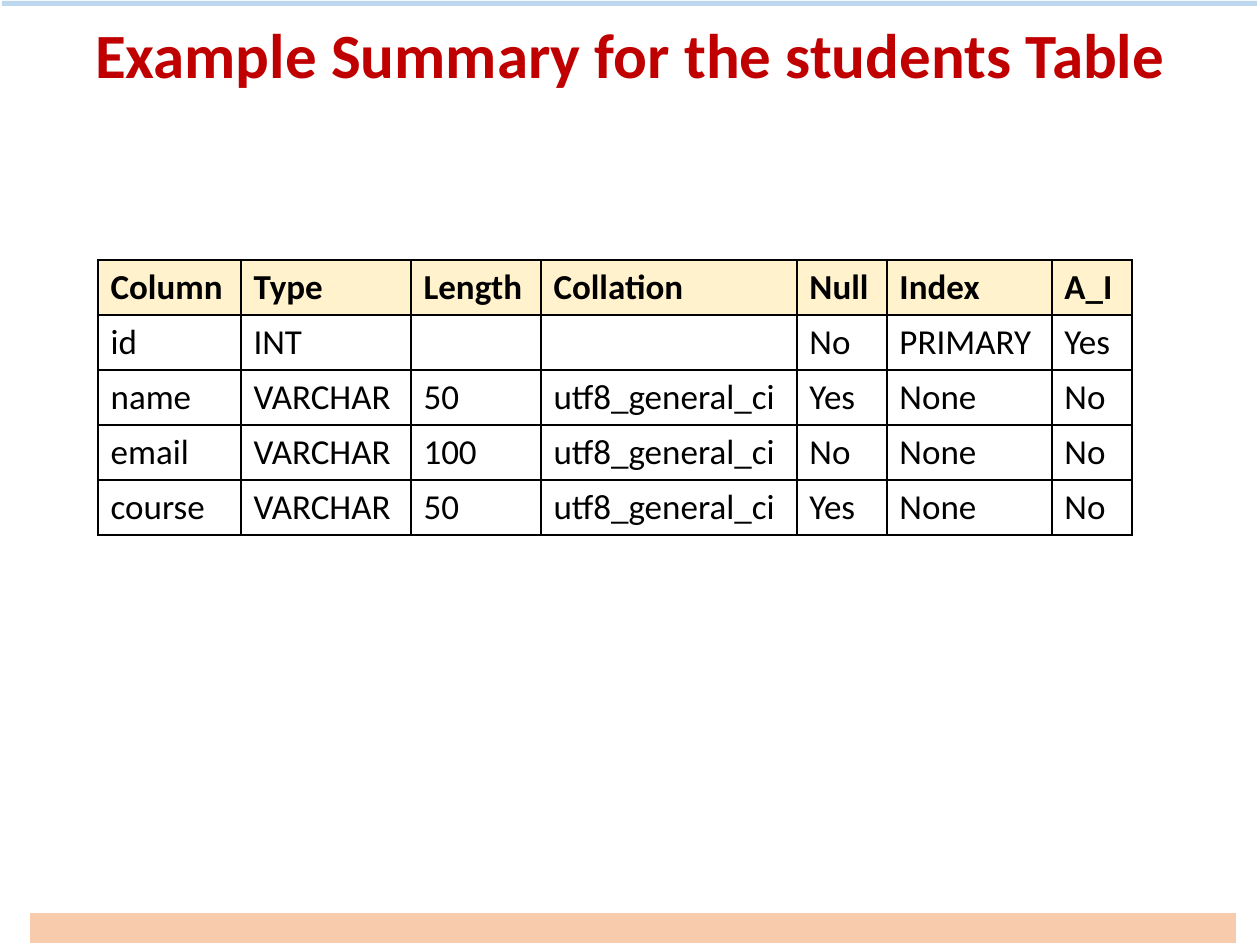
from lxml import etree
from pptx import Presentation
from pptx import util as u
from pptx.dml.color import RGBColor
from pptx.enum import shapes, text
from pptx.oxml.ns import qn

PX = 914400 // 126


def color(value):
    return RGBColor.from_string(value)


def add_borders(cell):
    properties = cell._tc.get_or_add_tcPr()
    for position, side in enumerate(("lnL", "lnR", "lnT", "lnB")):
        line = etree.Element(qn(f"a:{side}"), w=str(u.Pt(1)))
        fill = etree.SubElement(line, qn("a:solidFill"))
        etree.SubElement(fill, qn("a:srgbClr"), val="000000")
        properties.insert(position, line)


prs = Presentation()
prs.slide_width = u.Inches(10)
prs.slide_height = u.Inches(7.5)
slide = prs.slides.add_slide(prs.slide_layouts[6])

for left, top, width, height, shade in (
    (30, 913, 1206, 30, "F8CBAD"),
    (2, 1, 1255, 5, "BDD7EE"),
):
    band = slide.shapes.add_shape(
        shapes.MSO_SHAPE.RECTANGLE, left * PX, top * PX, width * PX, height * PX
    )
    band.shadow.inherit = False
    band.fill.solid()
    band.fill.fore_color.rgb = color(shade)
    band.line.fill.background()

title = slide.shapes.add_textbox(32 * PX, 18 * PX, 1196 * PX, 160 * PX)
title.text_frame.word_wrap = True
title.text_frame.vertical_anchor = text.MSO_ANCHOR.TOP
title.text_frame.text = "Example Summary for the students Table"
heading = title.text_frame.paragraphs[0]
heading.alignment = text.PP_ALIGN.CENTER
heading.line_spacing = 0.9
heading_font = heading.runs[0].font
heading_font.name = "Calibri"
heading_font.size = u.Pt(36)
heading_font.bold = True
heading_font.color.rgb = color("C00000")

column_widths = (143, 170, 130, 256, 90, 165, 80)
row_height = 55
summary_rows = (
    ("Column", "Type", "Length", "Collation", "Null", "Index", "A_I"),
    ("id", "INT", "", "", "No", "PRIMARY", "Yes"),
    ("name", "VARCHAR", "50", "utf8_general_ci", "Yes", "None", "No"),
    ("email", "VARCHAR", "100", "utf8_general_ci", "No", "None", "No"),
    ("course", "VARCHAR", "50", "utf8_general_ci", "Yes", "None", "No"),
)
summary = slide.shapes.add_table(
    len(summary_rows), len(column_widths), 98 * PX, 260 * PX,
    sum(column_widths) * PX, len(summary_rows) * row_height * PX,
).table
summary.horz_banding = False

for column, width in zip(summary.columns, column_widths):
    column.width = width * PX

for row_index, values in enumerate(summary_rows):
    summary.rows[row_index].height = row_height * PX
    is_header = row_index == 0
    for column_index, value in enumerate(values):
        cell = summary.cell(row_index, column_index)
        cell.text_frame.text = value
        cell.vertical_anchor = text.MSO_ANCHOR.MIDDLE
        if is_header:
            cell.fill.solid()
            cell.fill.fore_color.rgb = color("FFF2CC")
        else:
            cell.fill.background()
        add_borders(cell)
        for run in cell.text_frame.paragraphs[0].runs:
            run.font.name = "Calibri"
            run.font.size = u.Pt(20)
            run.font.bold = is_header
            run.font.color.rgb = color("000000")

prs.save("out.pptx")
